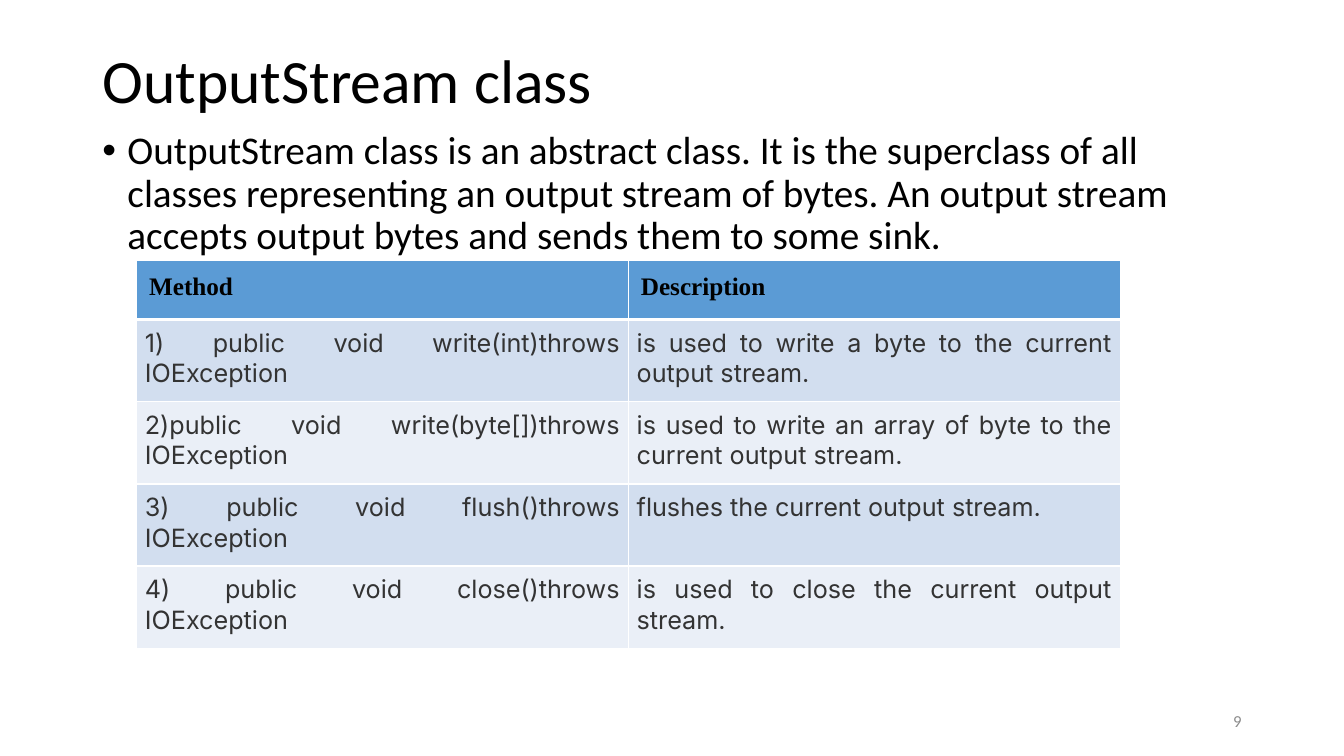
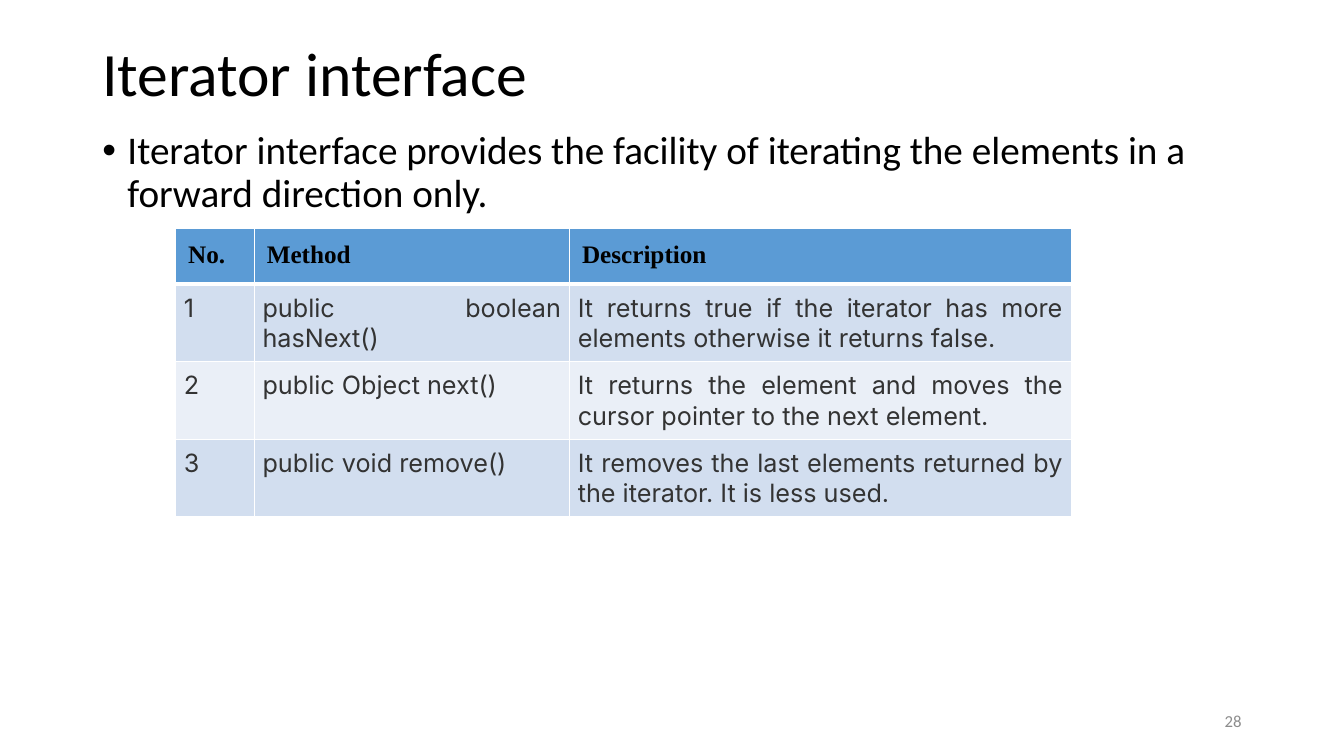
from pptx import Presentation
from pptx.dml.color import RGBColor
from pptx.enum import text as t
from pptx.oxml import parse_xml
from pptx.oxml.ns import nsdecls
from pptx.util import Pt

BLACK, BODY_GREY, NUMBER_GREY = "000000", "333333", "8C8C8C"
HEADER_BLUE, BANDS, RULE = "5B9BD5", ("D2DEEF", "EAEFF7"), "FFFFFF"
LEFT, WIDTH = 66, 828


def color(code):
    return RGBColor.from_string(code)


def add_run(paragraph, words, size, font, ink, bold=False):
    run = paragraph.add_run()
    run.text = words
    run.font.size = Pt(size)
    run.font.name = font
    run.font.bold = bold
    run.font.color.rgb = color(ink)


def add_text(slide, box, words, size, ink=BLACK, anchor=t.MSO_ANCHOR.MIDDLE):
    frame = slide.shapes.add_textbox(*map(Pt, box)).text_frame
    frame.word_wrap = True
    frame.vertical_anchor = anchor
    paragraph = frame.paragraphs[0]
    add_run(paragraph, words, size, "Calibri", ink)
    return paragraph


def add_title(slide, words, top):
    add_text(slide, (LEFT, top, WIDTH, 61.2), words, 44).line_spacing = 0.9


def add_bullet(slide, words):
    paragraph = add_text(slide, (LEFT, 90, WIDTH, 396.7), words, 28,
                         anchor=t.MSO_ANCHOR.TOP)
    paragraph.line_spacing = 0.9
    paragraph.space_before = Pt(10)
    properties = paragraph._p.get_or_add_pPr()
    properties.set("marL", str(Pt(18)))
    properties.set("indent", str(Pt(-18)))
    for tag in ('buFont {} typeface="Arial"', 'buChar {} char="•"'):
        properties.append(parse_xml(f"<a:{tag.format(nsdecls('a'))}/>"))


def add_number(slide, number):
    paragraph = add_text(slide, (678, 500.5, 216, 28.8), number, 12, NUMBER_GREY)
    paragraph.alignment = t.PP_ALIGN.RIGHT


def set_borders(cell, top, bottom):
    properties = cell._tc.get_or_add_tcPr()
    for side, width in (("L", 1), ("R", 1), ("T", top), ("B", bottom)):
        properties.append(parse_xml(
            f'<a:ln{side} {nsdecls("a")} w="{Pt(width)}"><a:solidFill>'
            f'<a:srgbClr val="{RULE}"/></a:solidFill></a:ln{side}>'))


def fill_cell(cell, words, row):
    header = row == 0
    set_borders(cell, 3 if row == 1 else 1, 3 if header else 1)
    cell.fill.solid()
    cell.fill.fore_color.rgb = color(HEADER_BLUE if header else BANDS[(row - 1) % 2])
    inset = Pt(9 if header else 6)
    cell.margin_left = cell.margin_right = inset
    cell.margin_top = cell.margin_bottom = inset
    paragraph = cell.text_frame.paragraphs[0]
    if header:
        add_run(paragraph, words, 18, "Times New Roman", BLACK, bold=True)
    else:
        paragraph.alignment = t.PP_ALIGN.JUSTIFY
        add_run(paragraph, words, 18, "Inter", BODY_GREY)


def add_methods(slide, left, top, widths, header_height, row_height, rows):
    heights = [header_height] + [row_height] * (len(rows) - 1)
    box = (left, top, sum(widths), sum(heights))
    table = slide.shapes.add_table(len(rows), len(widths), *map(Pt, box)).table
    for column, width in zip(table.columns, widths):
        column.width = Pt(width)
    for r, (height, entries) in enumerate(zip(heights, rows)):
        table.rows[r].height = Pt(height)
        for c, words in enumerate(entries):
            fill_cell(table.cell(r, c), words, r)


def add_page(deck, title, title_top, bullet, number, **methods):
    slide = deck.slides.add_slide(deck.slide_layouts[6])
    add_title(slide, title, title_top)
    add_bullet(slide, bullet)
    add_number(slide, number)
    add_methods(slide, **methods)


def main():
    deck = Presentation()
    deck.slide_width, deck.slide_height = Pt(960), Pt(540)
    add_page(
        deck, "OutputStream class", 28.8,
        "OutputStream class is an abstract class. It is the superclass of all "
        "classes representing an output stream of bytes. An output stream "
        "accepts output bytes and sends them to some sink.", "9",
        left=97.5, top=185.8, widths=(351.3, 351.3),
        header_height=42.5, row_height=58.7,
        rows=[
            ("Method", "Description"),
            ("1) public void write(int)throws IOException",
             "is used to write a byte to the current output stream."),
            ("2)public void write(byte[])throws IOException",
             "is used to write an array of byte to the current output stream."),
            ("3) public void flush()throws IOException",
             "flushes the current output stream."),
            ("4) public void close()throws IOException",
             "is used to close the current output stream."),
        ])
    add_page(
        deck, "Iterator interface", 24,
        "Iterator interface provides the facility of iterating the elements "
        "in a forward direction only.", "28",
        left=125.4, top=163.5, widths=(56.2, 225.2, 358.4),
        header_height=37.5, row_height=55.4,
        rows=[
            ("No.", "Method", "Description"),
            ("1", "public boolean hasNext()",
             "It returns true if the iterator has more elements otherwise it "
             "returns false."),
            ("2", "public Object next()",
             "It returns the element and moves the cursor pointer to the next "
             "element."),
            ("3", "public void remove()",
             "It removes the last elements returned by the iterator. It is "
             "less used."),
        ])
    deck.save("out.pptx")


if __name__ == "__main__":
    main()
